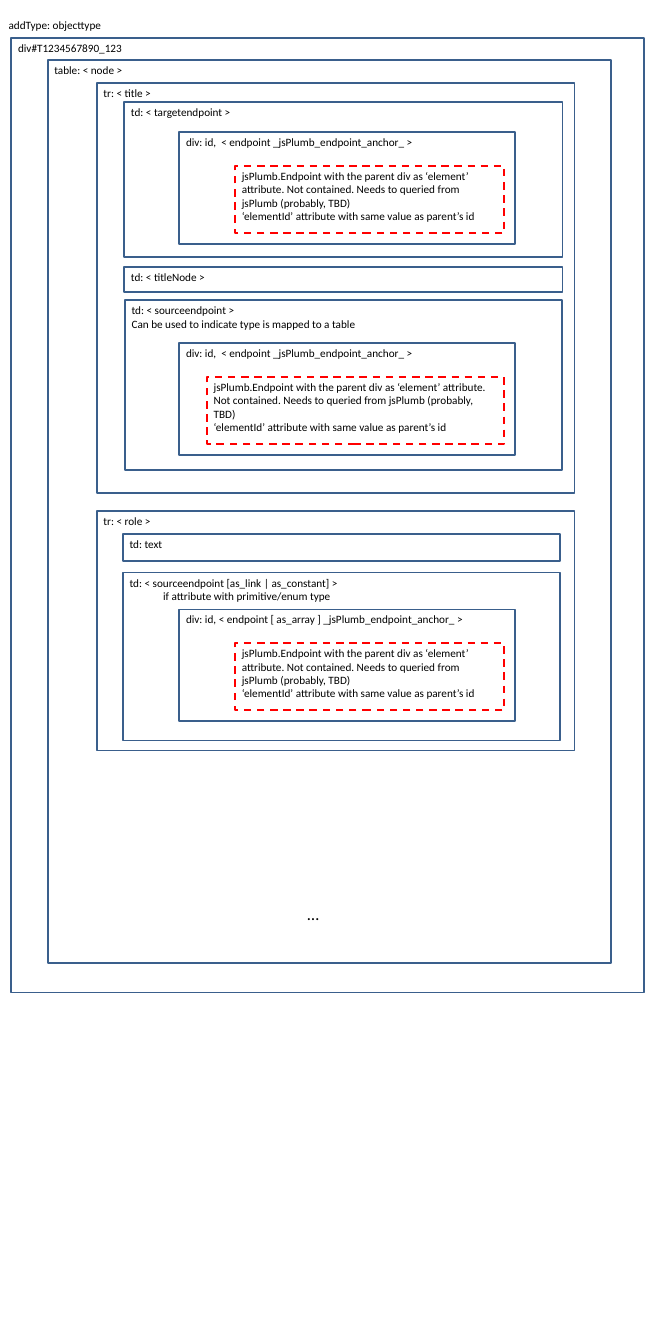
from dataclasses import dataclass

from pptx import Presentation
from pptx.dml.color import RGBColor
from pptx.enum.dml import MSO_LINE
from pptx.enum.shapes import MSO_SHAPE
from pptx.enum.text import MSO_ANCHOR, MSO_AUTO_SIZE, PP_ALIGN
from pptx.util import Inches, Pt

RECTANGLE = MSO_SHAPE.RECTANGLE
DASH = MSO_LINE.DASH
TOP = MSO_ANCHOR.TOP
FIT_SHAPE = MSO_AUTO_SIZE.SHAPE_TO_FIT_TEXT
LEFT, CENTER = PP_ALIGN.LEFT, PP_ALIGN.CENTER


@dataclass(frozen=True)
class Theme:
    font: str = "Calibri"
    text: RGBColor = RGBColor(0x00, 0x00, 0x00)
    element: RGBColor = RGBColor(0x3A, 0x5F, 0x8C)
    endpoint: RGBColor = RGBColor(0xFF, 0x00, 0x00)
    body_size: int = 12
    ellipsis_size: int = 18
    line_width: int = 2


ENDPOINT_NOTE = (
    "jsPlumb.Endpoint with the parent div as ‘element’ attribute. "
    "Not contained. Needs to queried from jsPlumb (probably, TBD)\n"
    "‘elementId’ attribute with same value as parent’s id"
)
ANCHOR_DIV = "div: id,  < endpoint _jsPlumb_endpoint_anchor_ >"
ARRAY_DIV = "div: id, < endpoint [ as_array ] _jsPlumb_endpoint_anchor_ >"


class DomDiagram:
    def __init__(self, slide, theme):
        self.slide = slide
        self.theme = theme

    def set_text(self, frame, text, size, align):
        frame.text = text
        for paragraph in frame.paragraphs:
            paragraph.alignment = align
            for run in paragraph.runs:
                run.font.name = self.theme.font
                run.font.size = Pt(size)
                run.font.color.rgb = self.theme.text

    def box(self, left, top, width, height, text, color=None, dash=None):
        """Outlined rectangle with its text in the top left corner."""
        shape = self.slide.shapes.add_shape(
            RECTANGLE, Inches(left), Inches(top), Inches(width), Inches(height))
        shape.shadow.inherit = False
        shape.fill.background()
        shape.line.color.rgb = color or self.theme.element
        shape.line.width = Pt(self.theme.line_width)
        if dash:
            shape.line.dash_style = dash
        shape.text_frame.vertical_anchor = TOP
        self.set_text(shape.text_frame, text, self.theme.body_size, LEFT)

    def endpoint(self, top, text, note_left=3.5):
        """Endpoint div with the dashed jsPlumb note inside it."""
        note_right = 7.5
        self.box(2.67, top, 5, 1.66, text)
        self.box(note_left, top + 0.5, note_right - note_left, 1,
                 ENDPOINT_NOTE, self.theme.endpoint, DASH)

    def label(self, left, top, width, height, text, size, align=LEFT, wrap=True):
        label = self.slide.shapes.add_textbox(
            Inches(left), Inches(top), Inches(width), Inches(height))
        label.text_frame.word_wrap = wrap
        label.text_frame.auto_size = FIT_SHAPE
        self.set_text(label.text_frame, text, size, align)


def main():
    deck = Presentation()
    deck.slide_width, deck.slide_height = Inches(10), Inches(20)
    theme = Theme()
    diagram = DomDiagram(deck.slides.add_slide(deck.slide_layouts[6]), theme)

    # Outer containers
    diagram.label(0.03, 0.23, 1.59, 0.3, "addType: objecttype",
                  theme.body_size, wrap=False)
    diagram.box(0.17, 0.56, 9.42, 14.21, "div#T1234567890_123")
    diagram.box(0.71, 0.89, 8.38, 13.44, "table: < node >")

    # Title row
    diagram.box(1.44, 1.24, 7.11, 6.09, "tr: < title >")
    diagram.box(1.85, 1.52, 6.52, 2.31, "td: < targetendpoint >")
    diagram.endpoint(1.97, ANCHOR_DIV)
    diagram.box(1.85, 3.97, 6.52, 0.38, "td: < titleNode >")
    diagram.box(1.86, 4.47, 6.5, 2.53,
                "td: < sourceendpoint >\n"
                "Can be used to indicate type is mapped to a table")
    diagram.endpoint(5.11, ANCHOR_DIV, note_left=3.08)

    # Role row
    diagram.box(1.44, 7.61, 7.11, 3.56, "tr: < role >")
    diagram.box(1.83, 7.95, 6.5, 0.4, "td: text")
    diagram.box(1.83, 8.52, 6.5, 2.5,
                "td: < sourceendpoint [as_link | as_constant] >\n"
                "\tif attribute with primitive/enum type")
    diagram.endpoint(9.07, ARRAY_DIV)

    # Further rows
    diagram.label(4.18, 13.4, 0.96, 0.4, "…", theme.ellipsis_size, CENTER)

    deck.save("out.pptx")


if __name__ == "__main__":
    main()
